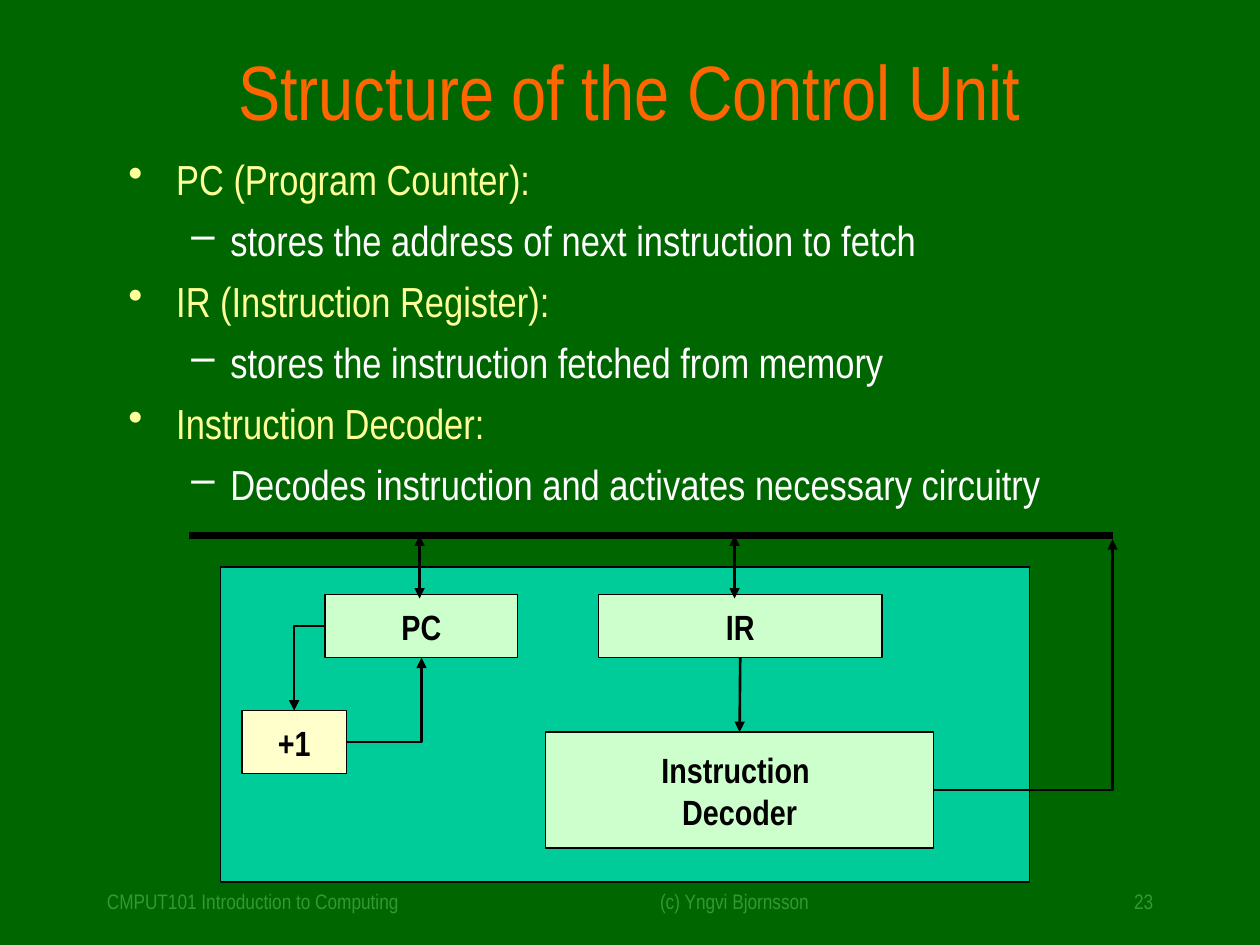
from lxml import etree
from pptx import Presentation
from pptx.dml.color import RGBColor
from pptx.enum.shapes import MSO_CONNECTOR, MSO_SHAPE
from pptx.enum.text import MSO_ANCHOR, PP_ALIGN
from pptx.oxml.ns import qn
from pptx.util import Inches, Pt

LEFT, CENTER, RIGHT = PP_ALIGN.LEFT, PP_ALIGN.CENTER, PP_ALIGN.RIGHT
TOP, MIDDLE = MSO_ANCHOR.TOP, MSO_ANCHOR.MIDDLE
STRAIGHT, ELBOW = MSO_CONNECTOR.STRAIGHT, MSO_CONNECTOR.ELBOW
RECTANGLE = MSO_SHAPE.RECTANGLE

FONT = "Arial Narrow"
BACKGROUND, PANEL, GREEN, CREAM = "006600", "00CC99", "CCFFCC", "FFFFCC"
BLACK, WHITE, YELLOW, ORANGE, FOOTER_GREEN = "000000", "FFFFFF", "FFFF99", "FF6600", "339933"

TITLE = "Structure of the Control Unit"
PARTS = [
    ("PC (Program Counter):", "stores the address of next instruction to fetch"),
    ("IR (Instruction Register):", "stores the instruction fetched from memory"),
    ("Instruction Decoder:", "Decodes instruction and activates necessary circuitry"),
]
BULLETS = [("•", YELLOW, 0.38, 0.38), ("–", WHITE, 0.81, 0.31)]
FOOTERS = [
    ("CMPUT101 Introduction to Computing", 0.75, 3.67, LEFT),
    ("(c) Yngvi Bjornsson", 4.58, 2.5, CENTER),
    ("23", 7.17, 2.08, RIGHT),
]
BLOCKS = {
    "panel": ([], (1.75, 4.5, 6.42, 2.5), PANEL),
    "decoder": (["Instruction ", "Decoder"], (4.33, 5.81, 3.08, 0.92), GREEN),
    "ir": (["IR"], (4.75, 4.72, 2.25, 0.5), GREEN),
    "plus": (["+1"], (1.92, 5.64, 0.83, 0.5), CREAM),
    "pc": (["PC"], (2.58, 4.72, 1.53, 0.5), GREEN),
}
BUS_LEFT, BUS_RIGHT, BUS_Y = 1.5, 8.83, 4.25
BUS_TAPS = [3.33, 5.83]


def color(value):
    """Turn a hex string into a colour."""
    return RGBColor.from_string(value)


def write(para, words, **values):
    """Add words to a paragraph in the slide's font."""
    span = para.add_run()
    span.text = words
    span.font.color.rgb = color(values.pop("fill"))
    for name, value in {"name": FONT, **values}.items():
        setattr(span.font, name, value)


def add_box(page, place, anchor=TOP):
    """Add an empty wrapping text box and return its frame."""
    frame = page.shapes.add_textbox(*map(Inches, place)).text_frame
    frame.word_wrap = True
    frame.vertical_anchor = anchor
    return frame


def add_bullet(para, mark, tone, margin, hang):
    """Give a paragraph a hanging bullet."""
    props = para._p.get_or_add_pPr()
    props.set("marL", str(Inches(margin)))
    props.set("indent", str(-Inches(hang)))
    paint = etree.SubElement(props, qn("a:buClr"))
    etree.SubElement(paint, qn("a:srgbClr"), val=tone)
    etree.SubElement(props, qn("a:buChar"), char=mark)


def add_block(page, lines, place, fill):
    """Draw a labelled rectangle of the diagram."""
    block = page.shapes.add_shape(RECTANGLE, *map(Inches, place))
    block.shadow.inherit = False
    block.fill.solid()
    block.fill.fore_color.rgb = color(fill)
    block.line.color.rgb = color(BLACK)
    block.line.width = Pt(0.75)
    frame = block.text_frame
    frame.word_wrap = False
    frame.vertical_anchor = MIDDLE
    for index, words in enumerate(lines):
        para = frame.add_paragraph() if index else frame.paragraphs[0]
        para.alignment = CENTER
        write(para, words, size=Pt(20), bold=True, fill=BLACK)


def add_line(page, start, end, kind=STRAIGHT, width=1.5, ends=("tailEnd",)):
    """Draw a black line or one-bend arrow between two points."""
    line = page.shapes.add_connector(kind, *map(Inches, start + end))
    line.line.color.rgb = color(BLACK)
    line.line.width = Pt(width)
    props = line._element.spPr
    if kind == ELBOW:
        props.find(qn("a:prstGeom")).set("prst", "bentConnector2")
    for name in ends:
        etree.SubElement(props.find(qn("a:ln")), qn(f"a:{name}"), type="triangle")
    etree.SubElement(props, qn("a:effectLst"))


def side(name, across, down):
    """Return the point at the given shares of a block's size."""
    left, top, width, height = BLOCKS[name][1]
    return left + across * width, top + down * height


def add_text(page):
    """Write the footers, title and bullet list."""
    for words, left, width, alignment in FOOTERS:
        para = add_box(page, (left, 7, width, 0.33)).paragraphs[0]
        para.alignment = alignment
        write(para, words, size=Pt(12), fill=FOOTER_GREEN)
    para = add_box(page, (0.75, 0.42, 8.5, 0.58), MIDDLE).paragraphs[0]
    para.alignment = CENTER
    write(para, TITLE, size=Pt(44), fill=ORANGE)
    frame = add_box(page, (0.92, 1.17, 7.92, 3))
    rows = [(words, level) for part in PARTS for level, words in enumerate(part)]
    for index, (words, level) in enumerate(rows):
        para = frame.add_paragraph() if index else frame.paragraphs[0]
        para.level = level
        if index:
            para.space_before = Pt(6)
        add_bullet(para, *BULLETS[level])
        write(para, words, size=Pt(24), fill=BULLETS[level][1])


def add_diagram(page):
    """Draw the control unit's blocks, bus and arrows."""
    for block in BLOCKS.values():
        add_block(page, *block)
    add_line(page, (BUS_LEFT, BUS_Y), (BUS_RIGHT, BUS_Y), width=4, ends=())
    add_line(page, side("pc", 0, 0.5), side("plus", 0.5, 0), ELBOW)
    add_line(page, side("plus", 1, 0.5), side("pc", 0.5, 1), ELBOW)
    add_line(page, side("ir", 0.5, 1), side("decoder", 0.5, 0))
    add_line(page, side("decoder", 1, 0.5), (BUS_RIGHT, BUS_Y + 0.03), ELBOW)
    for tap in BUS_TAPS:
        add_line(page, (tap, BUS_Y + 0.5), (tap, BUS_Y), ends=("headEnd", "tailEnd"))


def main():
    """Build and save the slide."""
    deck = Presentation()
    deck.slide_width, deck.slide_height = Inches(10), Inches(7.5)
    page = deck.slides.add_slide(deck.slide_layouts[6])
    page.background.fill.solid()
    page.background.fill.fore_color.rgb = color(BACKGROUND)
    add_text(page)
    add_diagram(page)
    deck.save("out.pptx")


if __name__ == "__main__":
    main()
